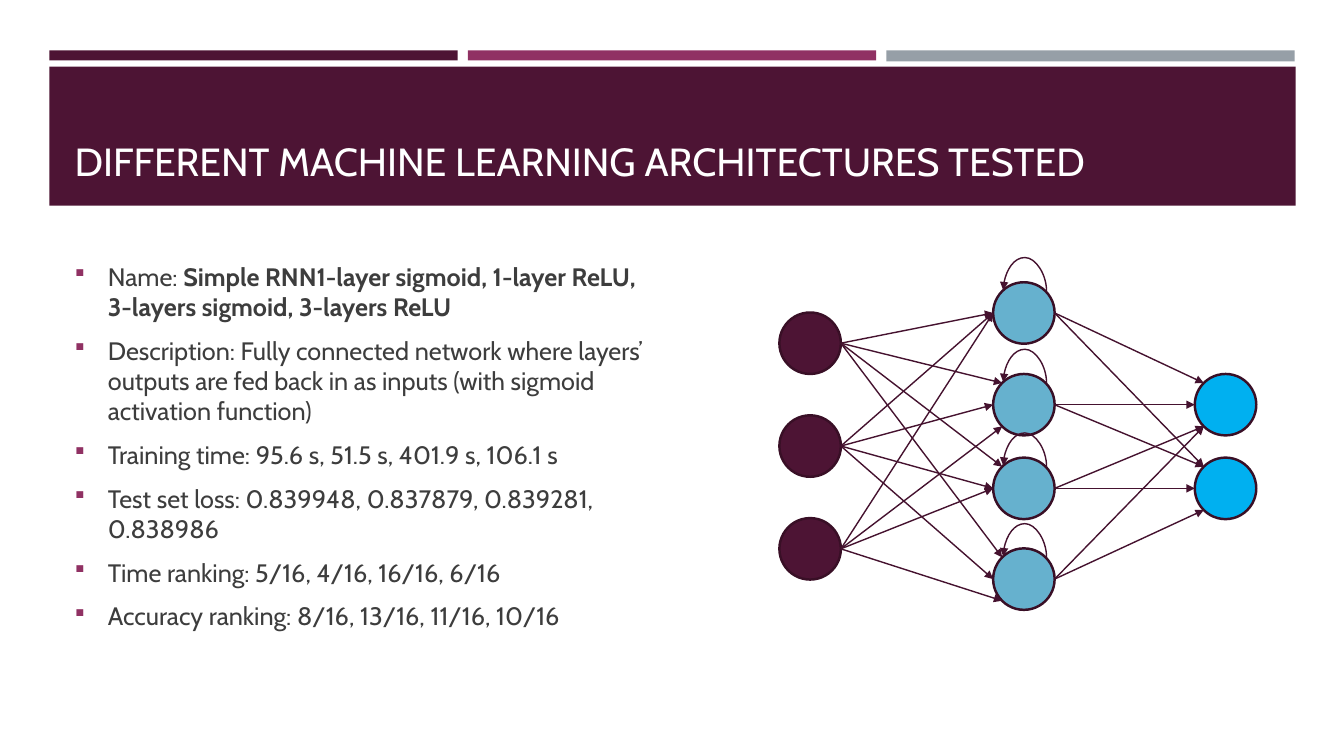
from lxml.etree import SubElement
from pptx import Presentation
from pptx.dml.color import RGBColor
from pptx.enum.shapes import MSO_CONNECTOR as LINK, MSO_SHAPE as SHAPE
from pptx.enum.text import MSO_ANCHOR as ANCHOR, MSO_AUTO_SIZE as FIT, PP_ALIGN as ALIGN
from pptx.oxml.ns import qn
from pptx.util import Inches, Pt

FONT = "Cabin"
PLUM, BERRY, GREY = "4D1434", "903163", "969FA7"


def paint(color_format, hex_color):
    color_format.rgb = RGBColor.from_string(hex_color)


def add_arrow(kind, x1, y1, x2, y2):
    arrow = page.shapes.add_connector(kind, Inches(x1), Inches(y1), Inches(x2), Inches(y2))
    paint(arrow.line.color, "45122F")
    arrow.line.width = Pt(1)
    SubElement(arrow.line._get_or_add_ln(), qn("a:tailEnd"), type="triangle")
    SubElement(arrow._element.spPr, qn("a:effectLst"))
    return arrow


deck = Presentation()
deck.slide_width, deck.slide_height = Inches(13.33), Inches(7.5)
page = deck.slides.add_slide(deck.slide_layouts[1])
title, body = page.placeholders

# Header bars and title band
bars = [(0.49, 0.5, 4.05, 0.1, PLUM), (4.64, 0.5, 4.05, 0.1, BERRY),
        (8.79, 0.5, 4.05, 0.11, GREY), (0.49, 0.66, 12.36, 1.38, PLUM)]
for left, top, width, height, color in bars:
    bar = page.shapes.add_shape(SHAPE.RECTANGLE, Inches(left), Inches(top),
                                Inches(width), Inches(height))
    bar.shadow.inherit = False
    bar.fill.solid()
    paint(bar.fill.fore_color, color)
    bar.line.fill.background()

# Title, moved in front of its band
page.shapes._spTree.append(title._element)
title.left, title.top, title.width, title.height = map(Inches, (0.64, 0.8, 12.06, 1.08))
frame = title.text_frame
frame.word_wrap, frame.auto_size = True, FIT.NONE
frame.vertical_anchor = ANCHOR.BOTTOM
para = frame.paragraphs[0]
para.alignment = ALIGN.LEFT
span = para.add_run()
span.text = "DIFFERENT MACHINE LEARNING ARCHITECTURES TESTED"
span.font.name, span.font.size = FONT, Pt(28)
paint(span.font.color, "FFFFFF")

# Results list: each item is a label and an optional bold part
items = [
    ("Name: ", "Simple RNN1-layer sigmoid, 1-layer ReLU, 3-layers sigmoid, 3-layers ReLU"),
    ("Description: Fully connected network where layers’ outputs are fed back in "
     "as inputs (with sigmoid activation function)",),
    ("Training time: 95.6 s, 51.5 s, 401.9 s, 106.1 s",),
    ("Test set loss: 0.839948, 0.837879, 0.839281, 0.838986",),
    ("Time ranking: 5/16, 4/16, 16/16, 6/16",),
    ("Accuracy ranking: 8/16, 13/16, 11/16, 10/16",),
]
body.left, body.top, body.width, body.height = map(Inches, (0.64, 2.44, 5.93, 3.97))
frame = body.text_frame
frame.word_wrap, frame.auto_size = True, FIT.NONE
frame.vertical_anchor = ANCHOR.MIDDLE
for number, parts in enumerate(items):
    para = frame.add_paragraph() if number else frame.paragraphs[0]
    para.space_before = Pt(3.6 if number else 0)
    para.space_after = Pt(6)
    props = para._p.get_or_add_pPr()
    props.set("marL", str(Inches(0.33)))
    props.set("indent", str(Inches(-0.33)))
    bullet_color = SubElement(props, qn("a:buClr"))
    SubElement(bullet_color, qn("a:srgbClr"), val=BERRY)
    SubElement(props, qn("a:buSzPct"), val="92000")
    SubElement(props, qn("a:buFont"), typeface="Wingdings", charset="2")
    SubElement(props, qn("a:buChar"), char="§")
    for position, words in enumerate(parts):
        span = para.add_run()
        span.text = words
        span.font.name, span.font.size = FONT, Pt(18)
        span.font.bold = position == 1
        paint(span.font.color, "3D3D3D")

# Network layers: left edge, node tops, fill
NODE = 0.61
RADIUS = NODE / 2
inputs = (7.73, [3.1, 4.12, 5.14], PLUM)
hidden = (9.85, [2.8, 3.71, 4.54, 5.44], "66B1CE")
outputs = (11.85, [3.71, 4.54], "00B0F0")
for left, tops, color in (inputs, hidden, outputs):
    for top in tops:
        node = page.shapes.add_shape(SHAPE.OVAL, Inches(left), Inches(top),
                                     Inches(NODE), Inches(NODE))
        node.shadow.inherit = False
        node.fill.solid()
        paint(node.fill.fore_color, color)
        paint(node.line.color, "390F26")
        node.line.width = Pt(1.75)

# Weights: one row per source node, one letter per target node,
# telling where the arrow lands: Upper left, Left or lower left (B)
landing = {"U": (0.09, 0.09), "L": (0, RADIUS), "B": (0.09, NODE - 0.09)}
weights = [(inputs, hidden, ["LUUU", "LLLL", "LBLB"]),
           (hidden, outputs, ["UU", "LU", "BL", "BB"])]
for (source_left, source_tops, _), (target_left, target_tops, _), rows in weights:
    for source_top, row in zip(source_tops, rows):
        for target_top, letter in zip(target_tops, row):
            dx, dy = landing[letter]
            add_arrow(LINK.STRAIGHT, source_left + NODE, source_top + RADIUS,
                      target_left + dx, target_top + dy)

# Feedback loops: a flat S-curve turned upright, its bend pushed out above the node
for top in hidden[1]:
    loop = add_arrow(LINK.CURVE, 10.16, top + 0.3, 10.17, top - 0.13)
    shape_props = loop._element.spPr
    shape_props.find(qn("a:xfrm")).set("rot", str(270 * 60000))
    guides = shape_props.find(qn("a:prstGeom")).find(qn("a:avLst"))
    SubElement(guides, qn("a:gd"), name="adj1", fmla="val 3400000")

deck.save("out.pptx")
